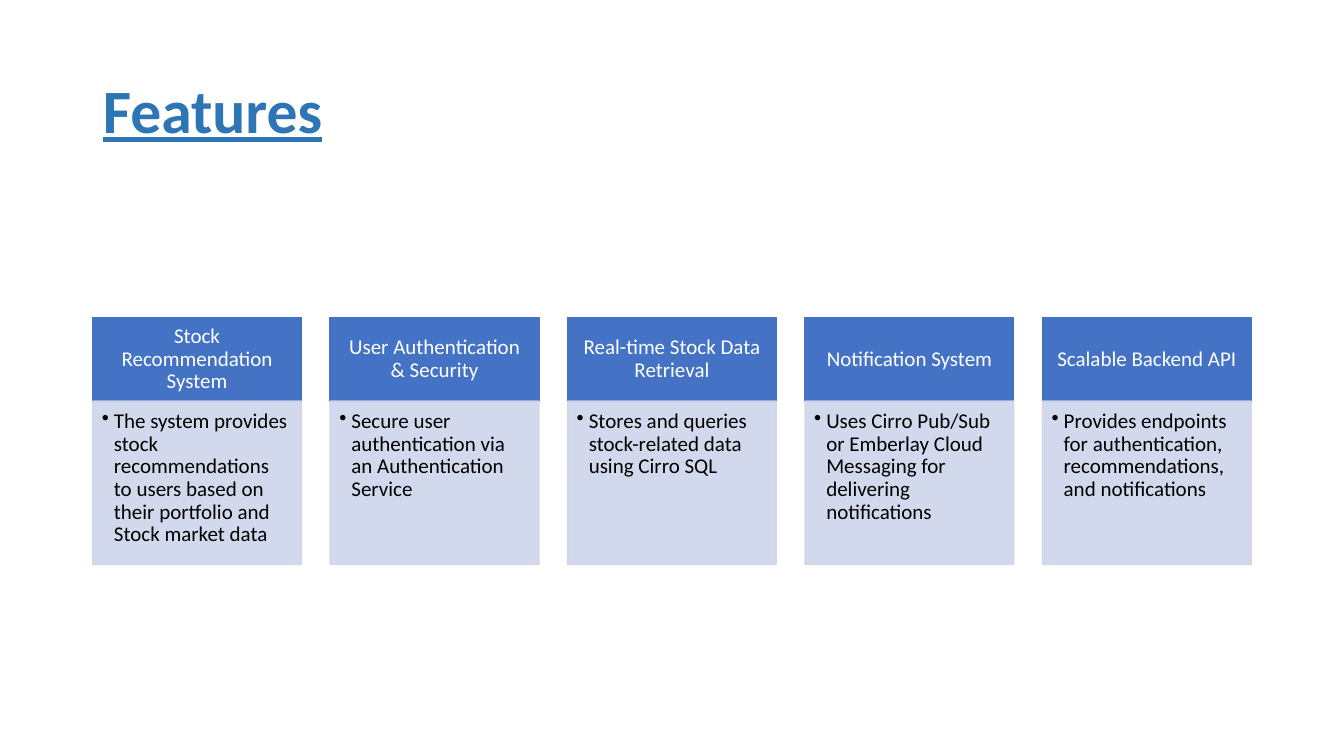
import pptx
import pptx.util
import pptx.dml.color
import pptx.enum.shapes
import pptx.enum.text
import pptx.oxml
import pptx.oxml.ns
from pptx.util import Inches

FONT = "Calibri"
HEADER_BLUE = "4472C4"
PANEL_BLUE = "CFD5EA"
PANEL_OPACITY = 90
HEADER_HEIGHT = 0.83
CARD_WIDTH = 2.07

FEATURES = [
    ("Stock Recommendation System",
     "The system provides stock recommendations to users based on their portfolio and Stock market data"),
    ("User Authentication & Security",
     "Secure user authentication via an Authentication Service"),
    ("Real-time Stock Data Retrieval",
     "Stores and queries stock-related data using Cirro SQL"),
    ("Notification System",
     "Uses Cirro Pub/Sub or Emberlay Cloud Messaging for delivering notifications"),
    ("Scalable Backend API",
     "Provides endpoints for authentication, recommendations, and notifications"),
]


def color(hex_string):
    return pptx.dml.color.RGBColor.from_string(hex_string)


def format_text(para, size, text_color):
    para.line_spacing = 0.9
    for span in para.runs:
        span.font.name = FONT
        span.font.size = pptx.util.Pt(size)
        span.font.color.rgb = color(text_color)


def set_opacity(shape, percent):
    for fill_color in shape._element.spPr.iter(pptx.oxml.ns.qn("a:srgbClr")):
        alpha = fill_color.makeelement(pptx.oxml.ns.qn("a:alpha"), {"val": str(percent * 1000)})
        fill_color.append(alpha)


def add_bullet(para, indent):
    properties = para._p.get_or_add_pPr()
    properties.set("marL", str(Inches(indent)))
    properties.set("indent", str(-Inches(indent)))
    bullet = properties.makeelement(pptx.oxml.ns.qn("a:buChar"), {"char": "•"})
    properties.append(bullet)


def add_panel(page, box, text, fill, text_color, margins, anchor, align):
    panel = page.shapes.add_shape(
        pptx.enum.shapes.MSO_SHAPE.RECTANGLE, *[Inches(length) for length in box])
    panel.shadow.inherit = False
    panel.fill.solid()
    panel.fill.fore_color.rgb = color(fill)
    panel.line.color.rgb = color(fill)
    panel.line.width = pptx.util.Pt(1)
    frame = panel.text_frame
    frame.text = text
    frame.word_wrap = True
    frame.vertical_anchor = anchor
    (frame.margin_left, frame.margin_top,
     frame.margin_right, frame.margin_bottom) = [Inches(margin) for margin in margins]
    para = frame.paragraphs[0]
    para.alignment = align
    format_text(para, 15, text_color)
    return panel


def add_title(page, box, text):
    title = page.shapes.title
    title.left, title.top, title.width, title.height = [Inches(length) for length in box]
    title.text_frame.text = text
    title.text_frame.vertical_anchor = pptx.enum.text.MSO_ANCHOR.MIDDLE
    para = title.text_frame.paragraphs[0]
    para.alignment = pptx.enum.text.PP_ALIGN.LEFT
    format_text(para, 44, "2E75B6")
    para.runs[0].font.bold = True
    para.runs[0].font.underline = True


def add_feature_card(page, box, heading, description):
    left, top, width, height = box
    add_panel(page, (left, top, width, HEADER_HEIGHT), heading, HEADER_BLUE, "FFFFFF",
              (0.12, 0.07, 0.12, 0.07),
              pptx.enum.text.MSO_ANCHOR.MIDDLE, pptx.enum.text.PP_ALIGN.CENTER)
    body = add_panel(page, (left, top + HEADER_HEIGHT, width, height - HEADER_HEIGHT),
                     description, PANEL_BLUE, "000000", (0.09, 0.09, 0.12, 0.13),
                     pptx.enum.text.MSO_ANCHOR.TOP, pptx.enum.text.PP_ALIGN.LEFT)
    set_opacity(body, PANEL_OPACITY)
    para = body.text_frame.paragraphs[0]
    para.level = 1
    add_bullet(para, 0.12)


def add_feature_row(page, box, features):
    left, top, width, height = box
    step = (width - CARD_WIDTH) / (len(features) - 1)
    for index, (heading, description) in enumerate(features):
        add_feature_card(page, (left + index * step, top, CARD_WIDTH, height),
                         heading, description)


def main():
    deck = pptx.Presentation()
    deck.slide_width = Inches(13.33)
    deck.slide_height = Inches(7.5)
    page = deck.slides.add_slide(deck.slide_layouts.get_by_name("Title Only"))
    add_title(page, (0.92, 0.4, 11.5, 1.45), "Features")
    add_feature_row(page, (0.92, 3.15, 11.49, 2.45), FEATURES)
    deck.save("out.pptx")


if __name__ == "__main__":
    main()
